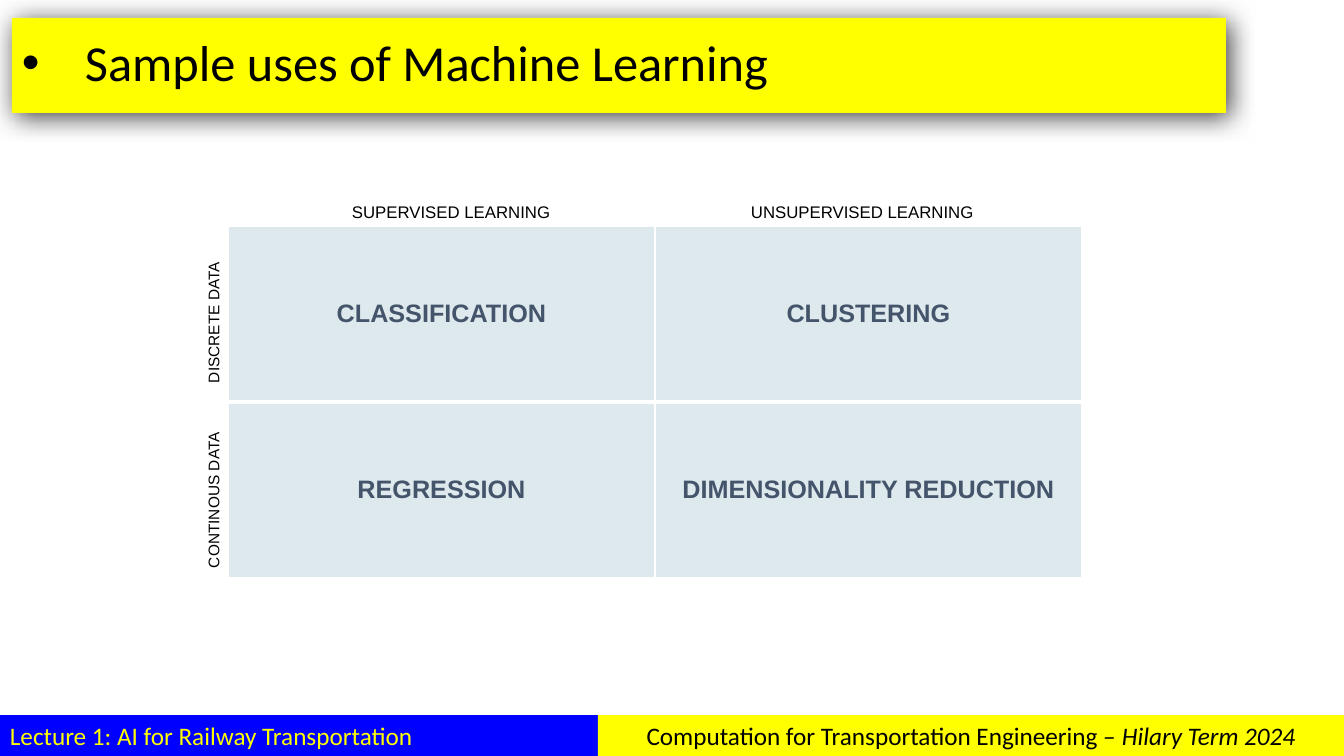
from lxml import etree
from pptx import Presentation
from pptx.dml.color import RGBColor
from pptx.enum.shapes import MSO_SHAPE
from pptx.enum.text import MSO_ANCHOR, PP_ALIGN
from pptx.oxml import parse_xml
from pptx.oxml.ns import nsdecls, qn
from pptx.util import Pt

EMU_PER_PX = 914400 / 100.8
RECTANGLE = MSO_SHAPE.RECTANGLE
TOP, MIDDLE = MSO_ANCHOR.TOP, MSO_ANCHOR.MIDDLE
LEFT, CENTER = PP_ALIGN.LEFT, PP_ALIGN.CENTER
COLORS = {
    "yellow": "FFFF00",
    "blue": "0000FF",
    "black": "000000",
    "white": "FFFFFF",
    "cell": "DEE9EE",
    "slate": "44546A",
}
COLUMNS = ["SUPERVISED LEARNING", "UNSUPERVISED LEARNING"]
ROWS = ["DISCRETE DATA", "CONTINOUS DATA"]
METHODS = [
    ["CLASSIFICATION", "CLUSTERING"],
    ["REGRESSION", "DIMENSIONALITY REDUCTION"],
]


def px(length):
    return round(length * EMU_PER_PX)


def rgb(name):
    return RGBColor.from_string(COLORS[name])


def add_span(para, text, font, size, color, bold=False, italic=False):
    span = para.add_run()
    span.text = text
    span.font.name = font
    span.font.size = Pt(size)
    span.font.bold = bold
    span.font.italic = italic
    span.font.color.rgb = rgb(color)


def add_bar(page, box, fill, anchor=TOP, align=LEFT):
    bar = page.shapes.add_shape(RECTANGLE, *map(px, box))
    bar.shadow.inherit = False
    bar.fill.solid()
    bar.fill.fore_color.rgb = rgb(fill)
    bar.line.fill.background()
    bar.text_frame.word_wrap = True
    bar.text_frame.vertical_anchor = anchor
    para = bar.text_frame.paragraphs[0]
    para.alignment = align
    return bar, para


def add_label(page, box, text, size, rotation=0):
    label = page.shapes.add_textbox(*map(px, box))
    label.rotation = rotation
    label.text_frame.word_wrap = True
    add_span(label.text_frame.paragraphs[0], text, "Arial", size, "black")


def add_title(page, box):
    bar, para = add_bar(page, box, "yellow", MIDDLE)
    effects = bar._element.spPr.find(qn("a:effectLst"))
    effects.append(parse_xml(
        f'<a:outerShdw {nsdecls("a")} blurRad="{Pt(19)}" dist="{Pt(3)}" '
        f'dir="2700000" algn="tl" rotWithShape="0">'
        f'<a:srgbClr val="{COLORS["black"]}"><a:alpha val="74000"/></a:srgbClr>'
        f'</a:outerShdw>'))
    para.line_spacing = 0.9
    properties = para._p.get_or_add_pPr()
    properties.set("marL", str(px(63)))
    properties.set("indent", str(-px(63)))
    etree.SubElement(properties, qn("a:buFont")).set("typeface", "Arial")
    etree.SubElement(properties, qn("a:buChar")).set("char", "•")
    add_span(para, "Sample uses of Machine Learning", "Calibri", 36, "black")


def set_borders(cell, widths):
    properties = cell._tc.get_or_add_tcPr()
    for position, (side, width) in enumerate(widths.items()):
        properties.insert(position, parse_xml(
            f'<a:ln{side} {nsdecls("a")} w="{Pt(width)}"><a:solidFill>'
            f'<a:srgbClr val="{COLORS["white"]}"/></a:solidFill></a:ln{side}>'))


def add_matrix(page, box):
    left, top, width, height = box
    column_width, row_height = width // 2, height // 2
    table = page.shapes.add_table(2, 2, *map(px, box)).table
    for column in table.columns:
        column.width = px(column_width)
    for row in table.rows:
        row.height = px(row_height)
    for row, names in enumerate(METHODS):
        for column, name in enumerate(names):
            cell = table.cell(row, column)
            cell.fill.solid()
            cell.fill.fore_color.rgb = rgb("cell")
            cell.vertical_anchor = MIDDLE
            set_borders(cell, {"L": 1, "R": 1, "T": 3 if row else 1, "B": 1 if row else 3})
            para = cell.text_frame.paragraphs[0]
            para.alignment = CENTER
            add_span(para, name, "Arial", 18, "slate", bold=True)
    for column, name in enumerate(COLUMNS):
        add_label(page, (left + 114 + column * 399, top - 29, 286, 30), name, 12)
    for row, name in enumerate(ROWS):
        add_label(page, (left - 98, top + 69 + row * 185, 167, 29), name, 11, 270)


def add_footer(page, box):
    left, top, width, height = box
    split = 598
    lecture = add_bar(page, (left, top, split, height), "blue")[1]
    add_span(lecture, "Lecture 1: AI for Railway Transportation", "Calibri", 18, "yellow")
    course_box = (left + split, top, width - split, height)
    course = add_bar(page, course_box, "yellow", align=CENTER)[1]
    add_span(course, "Computation for Transportation Engineering – ", "Calibri", 18, "black")
    add_span(course, "Hilary Term 2024", "Calibri", 18, "black", italic=True)


def main():
    deck = Presentation()
    deck.slide_width, deck.slide_height = px(1344), px(756)
    page = deck.slides.add_slide(deck.slide_layouts[6])
    add_title(page, (12, 18, 1214, 95))
    add_matrix(page, (228, 226, 854, 352))
    add_footer(page, (0, 715, 1344, 41))
    deck.save("out.pptx")


if __name__ == "__main__":
    main()
